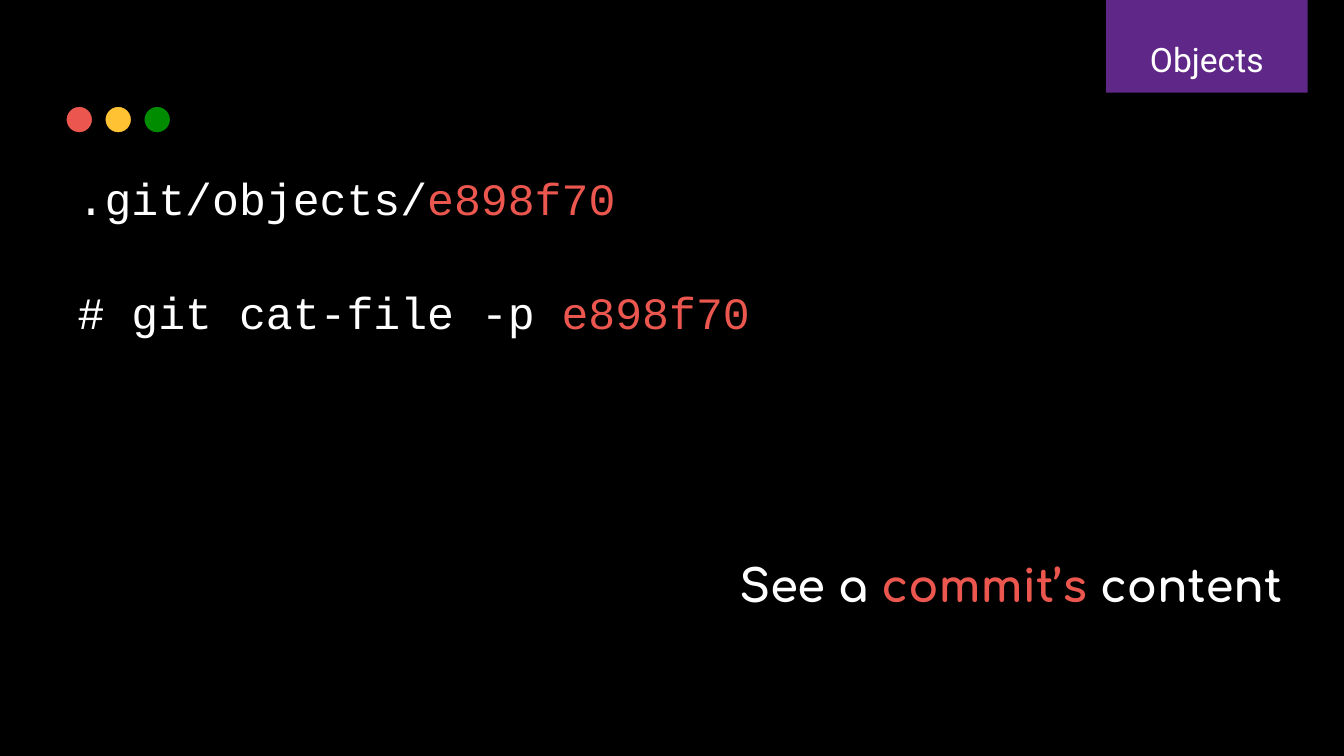
from typing import NamedTuple

from lxml.etree import SubElement
from pptx import Presentation
from pptx.dml.color import RGBColor
from pptx.enum.shapes import MSO_SHAPE as Preset
from pptx.enum.text import MSO_ANCHOR as Anchor, PP_ALIGN as Align
from pptx.oxml.ns import qn
from pptx.util import Inches, Pt

BLACK = "000000"
WHITE = "FFFFFF"
RED = "EB574F"
YELLOW = "FFC233"
GREEN = "008C00"
PURPLE = "7030A0"

SLIDE_WIDTH = 10
SLIDE_HEIGHT = SLIDE_WIDTH * 9 / 16
COMMIT = "e898f70"
DOT_SIZE = 0.2
DOT_STEP = 0.29


class Box(NamedTuple):
    left: float
    top: float
    width: float
    height: float

    def lengths(self) -> list:
        return [Inches(value) for value in self]


class Span(NamedTuple):
    text: str
    color: str = WHITE


def paint(color_format, color: str) -> None:
    color_format.rgb = RGBColor.from_string(color)


def fill_solid(fill, color: str, opacity: int = 100) -> None:
    """Fill with a colour; opacity is a percentage."""
    fill.solid()
    paint(fill.fore_color, color)
    if opacity < 100:
        color_xml = fill._xPr.find(qn("a:solidFill"))[0]
        SubElement(color_xml, qn("a:alpha"), val=str(opacity * 1000))


def add_text(shapes, box: Box, lines: list[list[Span]], *, font: str,
             size: float, bold: bool = False, align=Align.LEFT,
             anchor=Anchor.TOP, line_spacing: float = 1.0,
             gap: float = 0) -> None:
    """Write one paragraph per line, with gap points between them."""
    frame = shapes.add_textbox(*box.lengths()).text_frame
    frame.word_wrap = True
    frame.vertical_anchor = anchor
    frame.margin_left = frame.margin_right = Inches(0.1)
    frame.margin_top = frame.margin_bottom = Inches(0.1)
    for index, spans in enumerate(lines):
        paragraph = frame.add_paragraph() if index else frame.paragraphs[0]
        paragraph.alignment = align
        paragraph.line_spacing = line_spacing
        paragraph.space_before = Pt(gap if index else 0)
        for span in spans:
            run = paragraph.add_run()
            run.text = span.text
            run.font.name = font
            run.font.size = Pt(size)
            run.font.bold = bold
            paint(run.font.color, span.color)


def add_preset(shapes, preset, box: Box, color: str, opacity: int = 100,
               outline: str | None = None) -> None:
    shape = shapes.add_shape(preset, *box.lengths())
    shape.shadow.inherit = False
    fill_solid(shape.fill, color, opacity)
    if outline:
        fill_solid(shape.line.fill, outline)
        shape.line.width = Pt(0.75)
    else:
        shape.line.fill.background()


def main() -> None:
    deck = Presentation()
    deck.slide_width = Inches(SLIDE_WIDTH)
    deck.slide_height = Inches(SLIDE_HEIGHT)
    slide = deck.slides.add_slide(deck.slide_layouts[6])
    fill_solid(slide.background.fill, BLACK)
    shapes = slide.shapes

    commands = [
        [Span(".git/objects/"), Span(COMMIT, RED)],
        [Span("# git cat-file -p "), Span(COMMIT, RED)],
    ]
    add_text(shapes, Box(0.48, 1.17, 5.9, 3.28), commands,
             font="Courier New", size=24, gap=32)

    add_preset(shapes, Preset.RECTANGLE, Box(8.23, 0, 1.5, 0.69), PURPLE,
               opacity=85)
    add_text(shapes, Box(8.23, 0.13, 1.5, 0.47), [[Span("Objects")]],
             font="Roboto", size=18, align=Align.CENTER,
             anchor=Anchor.MIDDLE, line_spacing=1.5)

    window_buttons = shapes.add_group_shape().shapes
    for index, color in enumerate((RED, YELLOW, GREEN)):
        dot = Box(0.49 + index * DOT_STEP, 0.79, DOT_SIZE, DOT_SIZE)
        add_preset(window_buttons, Preset.OVAL, dot, color, outline=BLACK)

    caption = [Span("See a "), Span("commit’s ", RED), Span("content")]
    add_text(shapes, Box(5.31, 4.05, 4.42, 1.04), [caption],
             font="Comfortaa", size=24, bold=True, align=Align.CENTER)

    deck.save("out.pptx")


if __name__ == "__main__":
    main()
